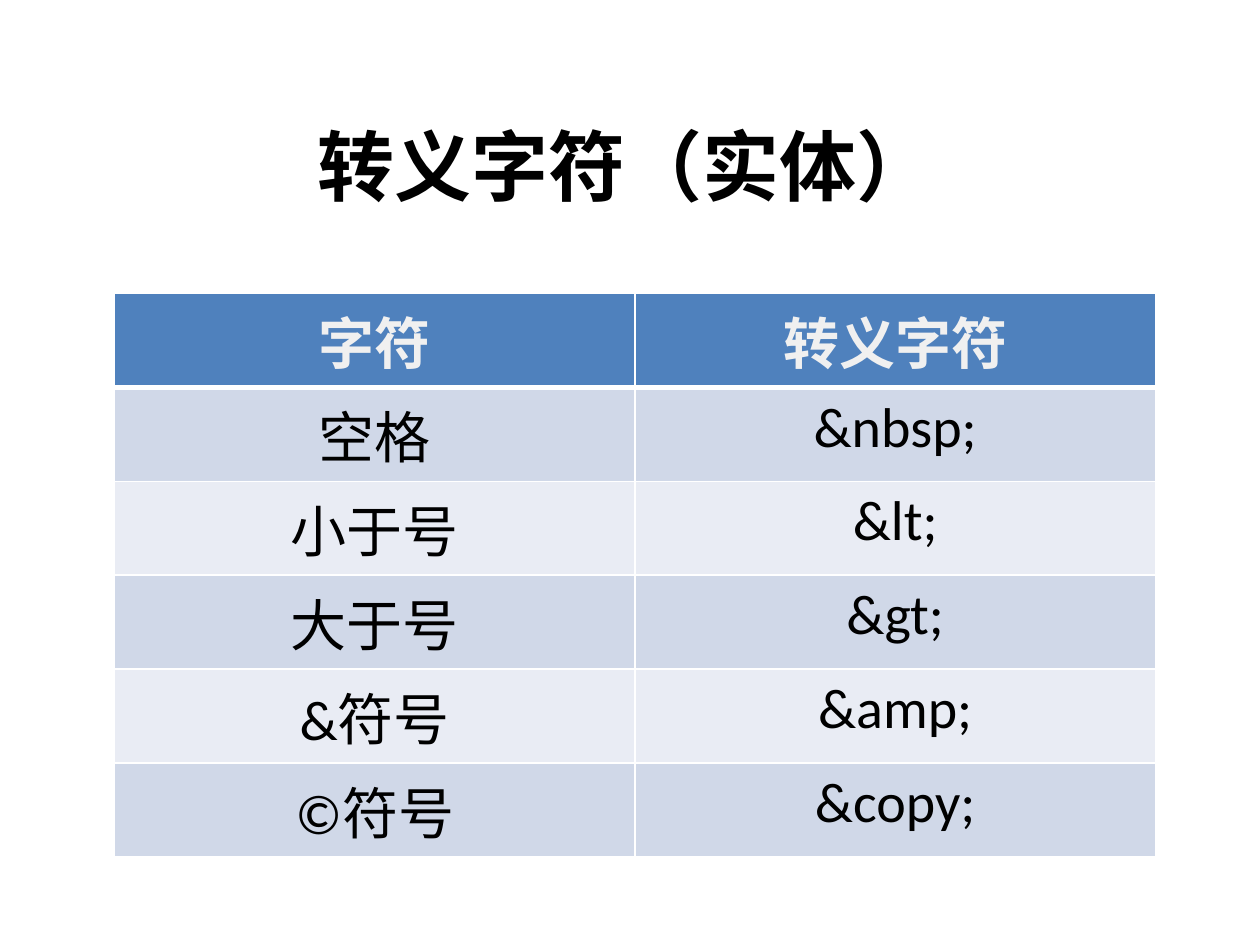
from dataclasses import dataclass

from lxml import etree
from pptx import Presentation
from pptx import util as u
from pptx.dml.color import RGBColor as Rgb
from pptx.enum import text as t
from pptx.oxml import ns


@dataclass(frozen=True)
class Theme:
    """Colours, fonts and type sizes of the slide."""
    ink: str = "000000"
    page: str = "FFFFFF"
    pale: str = "F0F0F0"
    head: str = "4F81BD"
    bands: tuple = ("D0D8E8", "E9ECF4")
    title_font: str = "Noto Sans Mono"
    body_font: str = "Calibri"
    title_size: int = 44
    body_size: int = 32


THEME = Theme()
ROWS = [
    ("字符", "转义字符"),
    ("空格", "&nbsp;"),
    ("小于号", "&lt;"),
    ("大于号", "&gt;"),
    ("&符号", "&amp;"),
    ("©符号", "&copy;"),
]


def write(frame, words, font, size, color, bold):
    """Put one centred, formatted line into a text frame."""
    frame.text = words
    line = frame.paragraphs[0]
    line.alignment = t.PP_ALIGN.CENTER
    face = line.runs[0].font
    face.name, face.size, face.bold = font, u.Pt(size), bold
    face.color.rgb = Rgb.from_string(color)


def edge(cell, color, widths):
    """Draw the cell borders, given their widths by side."""
    props = cell._tc.get_or_add_tcPr()
    for spot, (side, width) in enumerate(widths.items()):
        line = etree.Element(ns.qn(f"a:ln{side}"), w=str(u.Pt(width)))
        fill = etree.SubElement(line, ns.qn("a:solidFill"))
        etree.SubElement(fill, ns.qn("a:srgbClr"), val=color)
        props.insert(spot, line)


def add_title(slide, left, top, width, height):
    """Place the slide title in the given box."""
    frame = slide.shapes.add_textbox(left, top, width, height).text_frame
    frame.word_wrap = True
    frame.vertical_anchor = t.MSO_ANCHOR.MIDDLE
    write(frame, "转义字符（实体）", THEME.title_font, THEME.title_size,
          THEME.ink, True)


def add_grid(slide, left, top, width, height):
    """Place the table of characters and entities in the given box."""
    grid = slide.shapes.add_table(len(ROWS), len(ROWS[0]), left, top,
                                  width, height).table
    for row, items in enumerate(ROWS):
        head = row == 0
        shade = THEME.head if head else THEME.bands[(row - 1) % 2]
        color = THEME.pale if head else THEME.ink
        rims = {"L": 1, "R": 1, "T": 3 if row == 1 else 1,
                "B": 3 if head else 1}
        for col, words in enumerate(items):
            cell = grid.cell(row, col)
            cell.fill.solid()
            cell.fill.fore_color.rgb = Rgb.from_string(shade)
            write(cell.text_frame, words, THEME.body_font, THEME.body_size,
                  color, head)
            edge(cell, THEME.page, rims)


def main():
    """Build and save the slide."""
    deck = Presentation()
    deck.slide_width, deck.slide_height = u.Inches(10), u.Inches(7.5)
    slide = deck.slides.add_slide(deck.slide_layouts[6])
    back = slide.background.fill
    back.solid()
    back.fore_color.rgb = Rgb.from_string(THEME.page)
    add_title(slide, *map(u.Inches, (0.47, 0.68, 9, 1.25)))
    add_grid(slide, *map(u.Inches, (0.91, 2.33, 8.26, 4.47)))
    deck.save("out.pptx")


if __name__ == "__main__":
    main()
